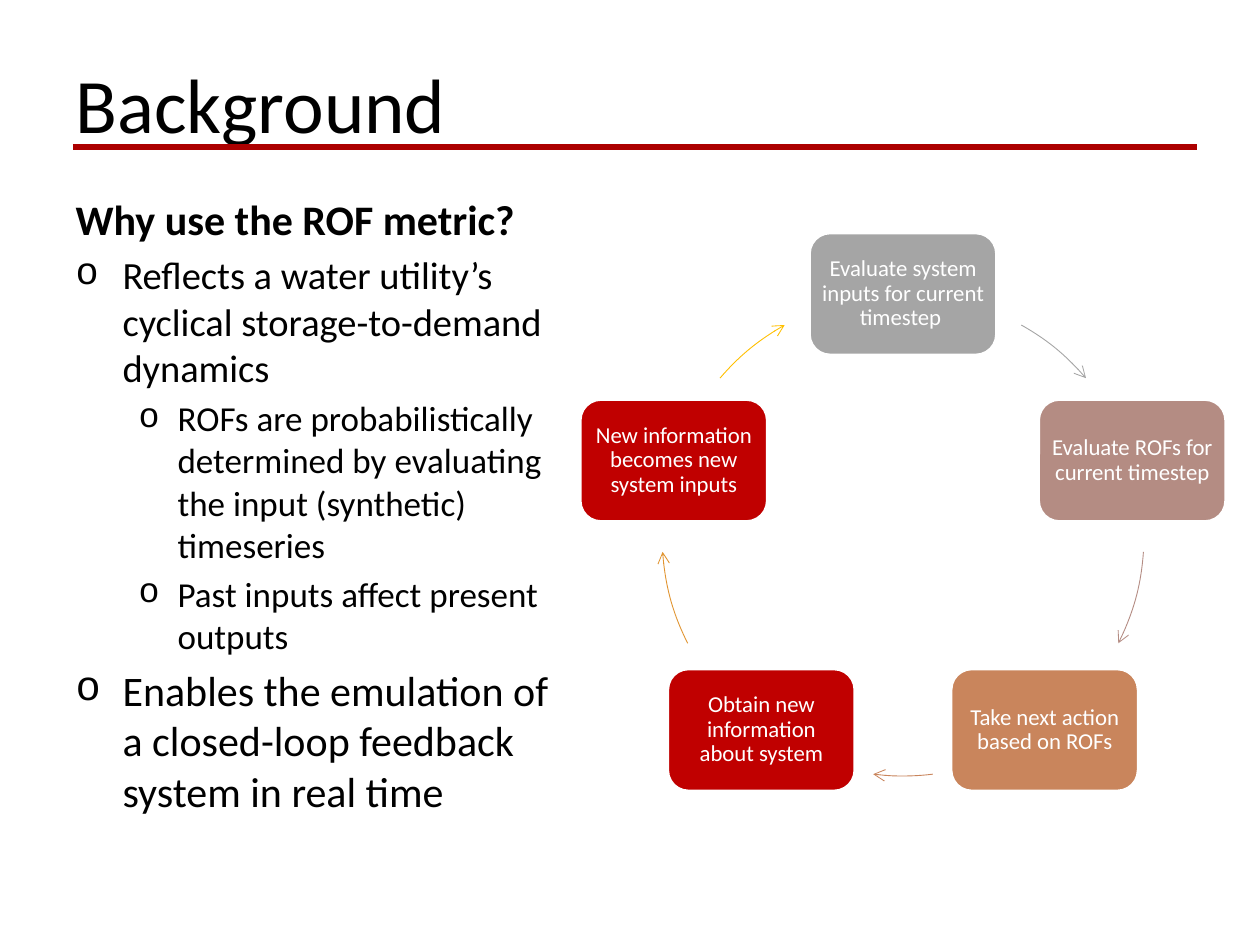
import math
import pptx
import pptx.dml.color
import pptx.enum.shapes
import pptx.enum.text
import pptx.oxml.ns
import pptx.util
from lxml import etree

RGBColor = pptx.dml.color.RGBColor
BLACK = RGBColor(0x00, 0x00, 0x00)
WHITE = RGBColor(0xFF, 0xFF, 0xFF)
RULE_RED = RGBColor(0xAC, 0x00, 0x00)
RED = RGBColor(0xC0, 0x00, 0x00)
GRAY = RGBColor(0xA5, 0xA5, 0xA5)
ROSE = RGBColor(0xB4, 0x8C, 0x83)
COPPER = RGBColor(0xC9, 0x85, 0x5C)
ORANGE = RGBColor(0xE1, 0x94, 0x30)
YELLOW = RGBColor(0xFF, 0xC0, 0x00)

FONT = "Calibri"
TITLE = "Background"
# level, size, bold, left margin px, hanging px, text
BODY = [
    (0, 24, True, 0, 0, "Why use the ROF metric?"),
    (0, 22, False, 47, 47, "Reflects a water utility’s cyclical storage-to-demand dynamics"),
    (1, 20, False, 102, 39, "ROFs are probabilistically determined by evaluating the input (synthetic) timeseries"),
    (1, 20, False, 102, 39, "Past inputs affect present outputs"),
    (0, 24, False, 47, 47, "Enables the emulation of a closed-loop feedback system in real time"),
]
# text, box colour, arrow colour, arrow start and end in degrees
STEPS = [
    ("Evaluate system inputs for current timestep ", GRAY, GRAY, -60.6, -40.6),
    ("Evaluate ROFs for current timestep", ROSE, ROSE, 4, 26.7),
    ("Take next action based on ROFs", COPPER, COPPER, 82.9, 97.1),
    ("Obtain new information about system", RED, ORANGE, 153.3, 176),
    ("New information becomes new system inputs", RED, YELLOW, 220.6, 240.6),
]
CENTER_X, CENTER_Y, RADIUS = 903, 535, 241
BOX_WIDTH, BOX_HEIGHT, BOX_INSET = 186, 121, 6
EMU_PER_PX = 914400 / 126
ANGLE_UNITS = 60000


def px(length):
    return pptx.util.Emu(round(length * EMU_PER_PX))


def place(shape, left, top, width, height):
    shape.left, shape.top, shape.width, shape.height = map(px, (left, top, width, height))


def add_xml(parent, tag, **attributes):
    return etree.SubElement(parent, pptx.oxml.ns.qn(tag), **attributes)


def write(paragraph, text, size, color=BLACK, bold=False, align=None, spacing=None):
    run = paragraph.add_run()
    run.text = text
    run.font.name = FONT
    run.font.size = pptx.util.Pt(size)
    run.font.bold = bold
    run.font.color.rgb = color
    paragraph.alignment = align
    paragraph.line_spacing = spacing


def set_bullet(paragraph, margin, hanging):
    properties = paragraph._p.get_or_add_pPr()
    properties.set("marL", str(px(margin)))
    properties.set("indent", str(px(-hanging)))
    if not hanging:
        add_xml(properties, "a:buNone")
        return
    add_xml(properties, "a:buFont", typeface="Courier New")
    add_xml(properties, "a:buChar", char="o")


def circle_offset(degrees):
    angle = math.radians(degrees)
    return RADIUS * math.cos(angle), RADIUS * math.sin(angle)


def add_box(slide, index, text, color):
    x, y = circle_offset(-90 + index * 360 / len(STEPS))
    box = slide.shapes.add_shape(
        pptx.enum.shapes.MSO_SHAPE.ROUNDED_RECTANGLE,
        px(CENTER_X + x - BOX_WIDTH / 2), px(CENTER_Y + y - BOX_HEIGHT / 2),
        px(BOX_WIDTH), px(BOX_HEIGHT))
    box.shadow.inherit = False
    box.fill.solid()
    box.fill.fore_color.rgb = color
    box.line.color.rgb = WHITE
    box.line.width = pptx.util.Pt(1)
    frame = box.text_frame
    frame.word_wrap = True
    frame.vertical_anchor = pptx.enum.text.MSO_ANCHOR.MIDDLE
    frame.margin_left = frame.margin_right = px(BOX_INSET)
    frame.margin_top = frame.margin_bottom = px(BOX_INSET)
    write(frame.paragraphs[0], text, 13, color=WHITE,
          align=pptx.enum.text.PP_ALIGN.CENTER, spacing=0.9)


def add_arc_arrow(slide, color, start, end):
    diameter = 2 * RADIUS
    builder = slide.shapes.build_freeform(0, 0)
    builder.add_line_segments([(px(diameter), px(diameter))], close=False)
    arrow = builder.convert_to_shape()
    place(arrow, CENTER_X - RADIUS, CENTER_Y - RADIUS, diameter, diameter)

    outline = arrow._element.find(".//" + pptx.oxml.ns.qn("a:path"))
    for segment in list(outline):
        outline.remove(segment)
    x, y = circle_offset(start)
    move = add_xml(outline, "a:moveTo")
    add_xml(move, "a:pt", x=str(px(RADIUS + x)), y=str(px(RADIUS + y)))
    add_xml(outline, "a:arcTo", wR=str(px(RADIUS)), hR=str(px(RADIUS)),
            stAng=str(round(start % 360 * ANGLE_UNITS)),
            swAng=str(round((end - start) * ANGLE_UNITS)))

    arrow.shadow.inherit = False
    arrow.fill.background()
    arrow.line.color.rgb = color
    arrow.line.width = pptx.util.Pt(0.5)
    add_xml(arrow.line._get_or_add_ln(), "a:tailEnd", type="arrow")


def main():
    presentation = pptx.Presentation()
    presentation.slide_width, presentation.slide_height = px(1260), px(945)
    slide = presentation.slides.add_slide(presentation.slide_layouts[1])
    title, body = slide.placeholders

    place(title, 63, 30, 1134, 157)
    title.text_frame.auto_size = pptx.enum.text.MSO_AUTO_SIZE.NONE
    write(title.text_frame.paragraphs[0], TITLE, 44,
          align=pptx.enum.text.PP_ALIGN.LEFT, spacing=0.9)

    rule = slide.shapes.add_connector(
        pptx.enum.shapes.MSO_CONNECTOR.STRAIGHT, px(73), px(147), px(1197), px(147))
    rule.line.color.rgb = RULE_RED
    rule.line.width = pptx.util.Pt(3)
    add_xml(rule._element.spPr, "a:effectLst")

    place(body, 63, 187, 518, 699)
    frame = body.text_frame
    frame.auto_size = pptx.enum.text.MSO_AUTO_SIZE.NONE
    for index, (level, size, bold, margin, hanging, text) in enumerate(BODY):
        paragraph = frame.add_paragraph() if index else frame.paragraphs[0]
        paragraph.level = level
        write(paragraph, text, size, bold=bold)
        set_bullet(paragraph, margin, hanging)

    for index, (text, box_color, arrow_color, start, end) in enumerate(STEPS):
        add_box(slide, index, text, box_color)
        add_arc_arrow(slide, arrow_color, start, end)

    presentation.save("out.pptx")


if __name__ == "__main__":
    main()
